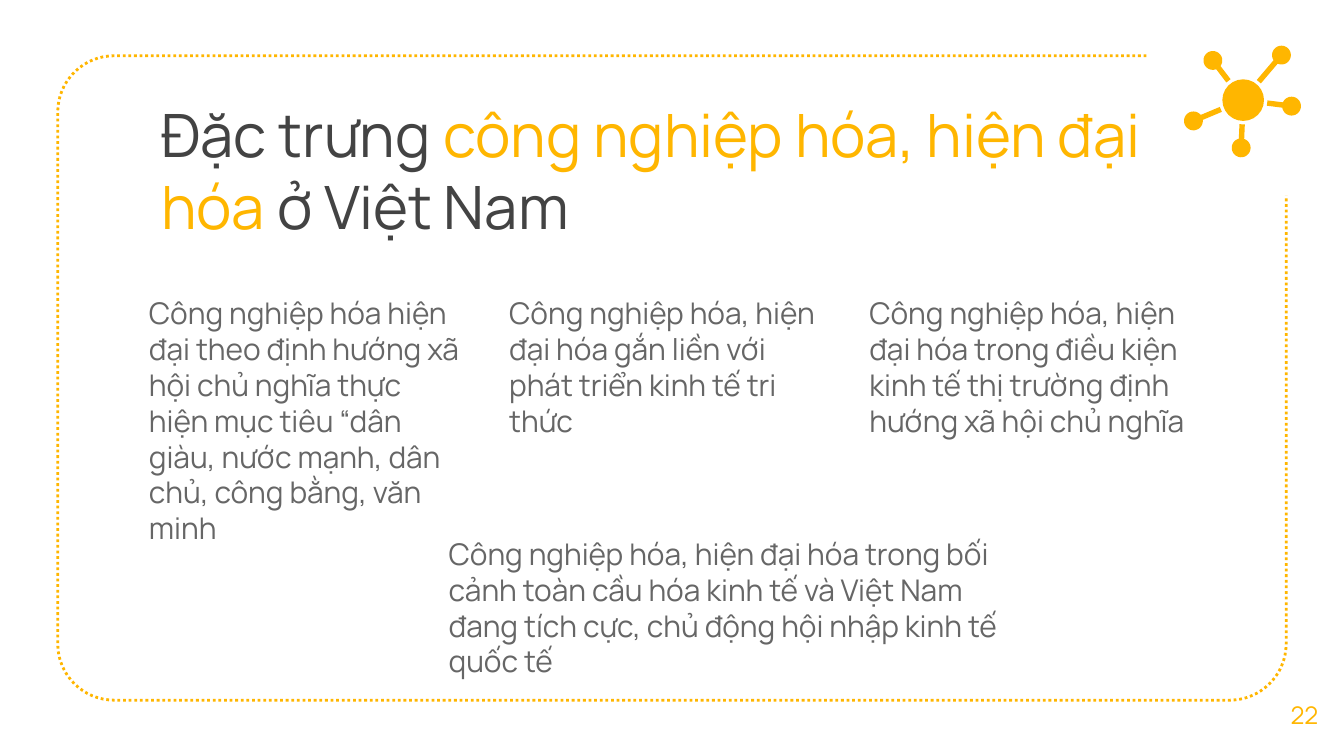
from math import atan2, asin, cos, hypot, pi, sin

from pptx import Presentation
from pptx.dml.color import RGBColor
from pptx.enum.dml import MSO_LINE
from pptx.enum.shapes import MSO_SHAPE
from pptx.enum.text import MSO_ANCHOR, PP_ALIGN
from pptx.util import Pt

PX = 4572  # 200 px to the inch
DOT = MSO_LINE.ROUND_DOT
OVAL = MSO_SHAPE.OVAL
TOP, MIDDLE = MSO_ANCHOR.TOP, MSO_ANCHOR.MIDDLE
LEFT, CENTER = PP_ALIGN.LEFT, PP_ALIGN.CENTER

FONT = "Manrope"
AMBER, DARK, GREY = "FFB600", "434343", "666666"


def emu(*lengths):
    return [round(length * PX) for length in lengths]


def rgb(value):
    return RGBColor.from_string(value)


def arc(cx, cy, radius, start, end, steps=16):
    """Points along an arc; angles in radians, clockwise from the right."""
    angles = [start + (end - start) * i / steps for i in range(steps + 1)]
    return [(cx + radius * cos(a), cy + radius * sin(a)) for a in angles]


def outline(slide, points, close):
    start, *rest = [emu(*point) for point in points]
    builder = slide.shapes.build_freeform(*start)
    builder.add_line_segments(rest, close=close)
    shape = builder.convert_to_shape()
    shape.shadow.inherit = False
    return shape


def fill_plain(shape, color):
    shape.fill.solid()
    shape.fill.fore_color.rgb = rgb(color)
    shape.line.fill.background()


def add_frame(slide, left, top, width, height):
    """Dotted rounded frame, left open at the top right corner."""
    right, bottom, radius = left + width, top + height, 84
    points = [(right - 208, top)]
    points += arc(left + radius, top + radius, radius, 1.5 * pi, pi)
    points += arc(left + radius, bottom - radius, radius, pi, pi / 2)
    points += arc(right - radius, bottom - radius, radius, pi / 2, 0)
    points.append((right, top + 208))
    frame = outline(slide, points, close=False)
    frame.fill.background()
    frame.line.color.rgb = rgb(AMBER)
    frame.line.width = Pt(1.5)
    frame.line.dash_style = DOT


def add_network(slide, left, top):
    """Hub with five nodes, each node in one piece with its spoke."""
    hub_x, hub_y, hub_radius = left + 88, top + 81, 31
    node_radius, half_spoke, spoke_start = 14, 4, 36
    nodes = [(145, 14), (43, 22), (14, 112), (85, 152), (160, 90)]
    for x, y in nodes:
        x, y = left + x, top + y
        inward = atan2(hub_y - y, hub_x - x)
        length = hypot(hub_x - x, hub_y - y) - spoke_start
        notch = asin(half_spoke / node_radius)
        points = arc(x, y, node_radius, inward + notch,
                     inward + 2 * pi - notch, 40)
        for side in (-half_spoke, half_spoke):
            points.append((x + length * cos(inward) - side * sin(inward),
                           y + length * sin(inward) + side * cos(inward)))
        fill_plain(outline(slide, points, close=True), AMBER)
    hub = slide.shapes.add_shape(
        OVAL, *emu(hub_x - hub_radius, hub_y - hub_radius,
                   2 * hub_radius, 2 * hub_radius))
    hub.shadow.inherit = False
    fill_plain(hub, AMBER)


def add_text(slide, box, runs, size, align=LEFT, anchor=TOP, inset_top=20):
    """Wrapped paragraph made of (text, colour) runs."""
    frame = slide.shapes.add_textbox(*emu(*box)).text_frame
    frame.word_wrap = True
    frame.vertical_anchor = anchor
    (frame.margin_left, frame.margin_top,
     frame.margin_right, frame.margin_bottom) = emu(20, inset_top, 20, 20)
    paragraph = frame.paragraphs[0]
    paragraph.alignment = align
    paragraph.font.name = FONT
    paragraph.font.size = Pt(size)
    for text, color in runs:
        run = paragraph.add_run()
        run.text = text
        run.font.color.rgb = rgb(color)


def add_features(slide, left, top):
    """Three columns of features and a wider one below them."""
    column, pitch, height = 510, 536, 324
    features = [
        "Công nghiệp hóa hiện đại theo định hướng xã hội chủ nghĩa thực hiện "
        "mục tiêu “dân giàu, nước mạnh, dân chủ, công bằng, văn minh",
        "Công nghiệp hóa, hiện đại hóa gắn liền với phát triển kinh tế tri "
        "thức",
        "Công nghiệp hóa, hiện đại hóa trong điều kiện kinh tế thị trường "
        "định hướng xã hội chủ nghĩa",
        "Công nghiệp hóa, hiện đại hóa trong bối cảnh toàn cầu hóa kinh tế và "
        "Việt Nam đang tích cực, chủ động hội nhập kinh tế quốc tế",
    ]
    boxes = [(left + i * pitch, top, column, height) for i in range(3)]
    boxes.append((left + 446, top + 358, 892, height))
    for box, feature in zip(boxes, features):
        add_text(slide, box, [(feature, GREY)], 16, inset_top=83)


def main():
    deck = Presentation()
    deck.slide_width, deck.slide_height = emu(2000, 1125)
    slide = deck.slides.add_slide(deck.slide_layouts[6])
    add_frame(slide, 86, 83, 1828, 959)
    title = [("Đặc trưng ", DARK),
             ("công nghiệp hóa, hiện đại hóa ", AMBER),
             ("ở Việt Nam", DARK)]
    add_text(slide, (220, 126, 1500, 266), title, 32)
    add_features(slide, 202, 356)
    add_text(slide, (1882, 1004, 118, 120), [("22", AMBER)], 13,
             CENTER, MIDDLE)
    add_network(slide, 1762, 68)
    deck.save("out.pptx")


if __name__ == "__main__":
    main()
